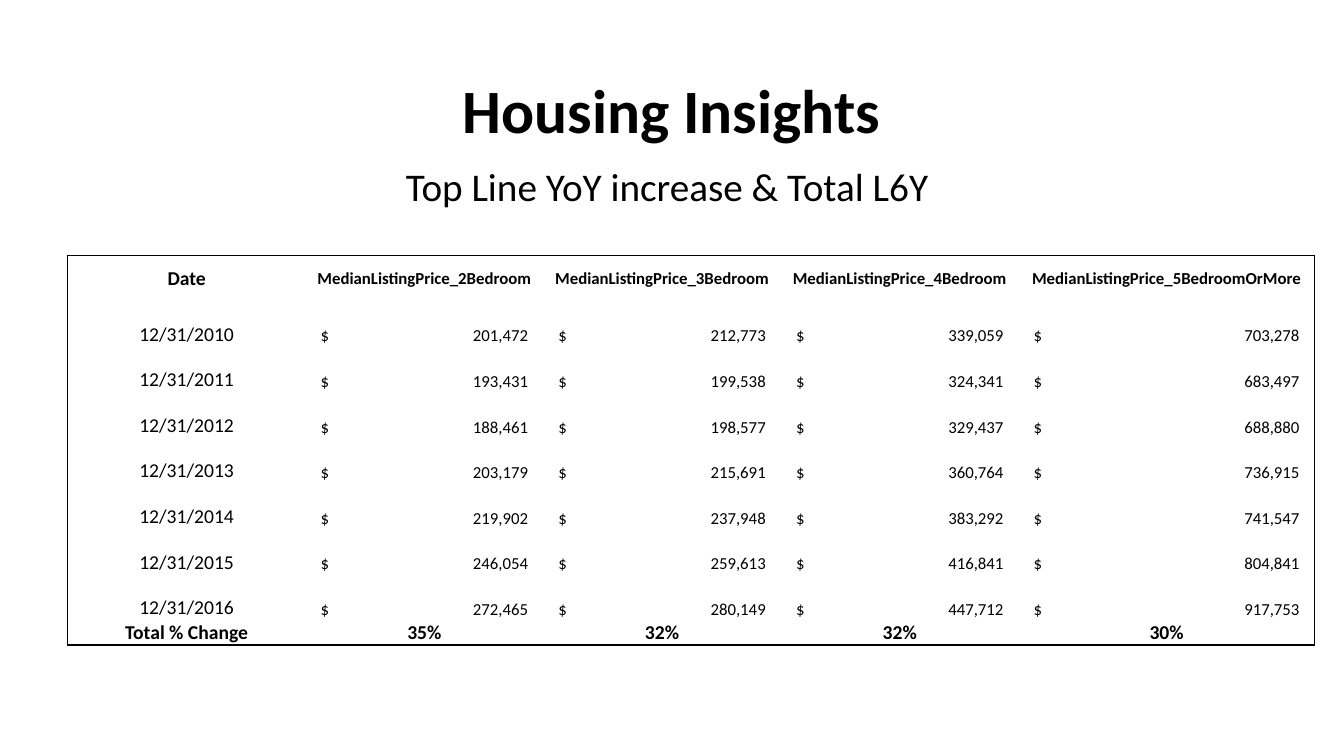
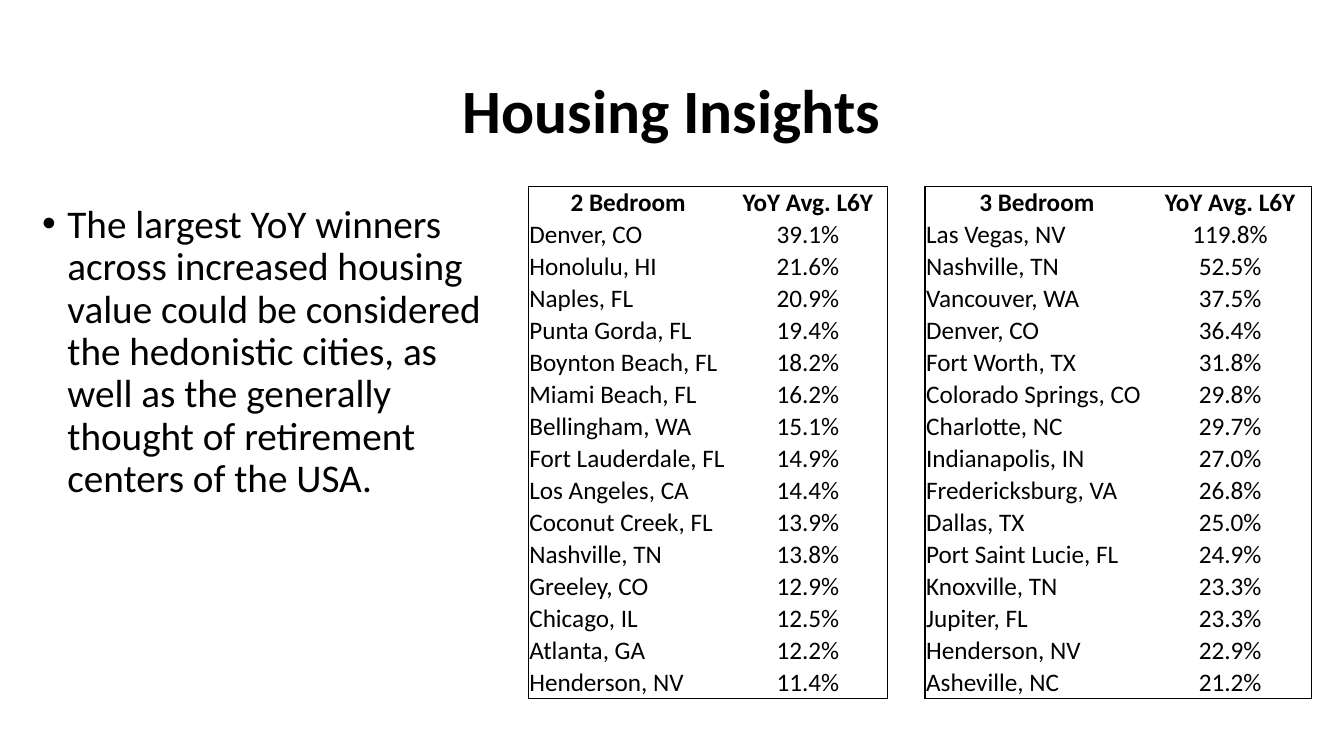
from lxml import etree
from pptx import Presentation
from pptx.dml.color import RGBColor
from pptx.enum.text import MSO_ANCHOR, MSO_AUTO_SIZE, PP_ALIGN
from pptx.oxml.ns import qn
from pptx.util import Cm, Pt

LEFT, CENTER = PP_ALIGN.LEFT, PP_ALIGN.CENTER
MIDDLE, BOTTOM = MSO_ANCHOR.MIDDLE, MSO_ANCHOR.BOTTOM
BLACK = RGBColor(0x00, 0x00, 0x00)
FONT = "Calibri"
TITLE_ONLY = 5
PLAIN_TABLE_STYLE = "{2D5ABB26-0587-4C30-8999-92F81FD0307C}"

# Content
TITLE = "Housing Insights"
SUBTITLE = "Top Line YoY increase & Total L6Y"
FINDING = (
    "The largest YoY winners across increased housing value could be considered "
    "the hedonistic cities, as well as the generally thought of retirement "
    "centers of the USA."
)
PRICE_HEADER = ("Date", "MedianListingPrice_2Bedroom", "MedianListingPrice_3Bedroom",
                "MedianListingPrice_4Bedroom", "MedianListingPrice_5BedroomOrMore")
PRICES = [
    ("12/31/2010", 201472, 212773, 339059, 703278),
    ("12/31/2011", 193431, 199538, 324341, 683497),
    ("12/31/2012", 188461, 198577, 329437, 688880),
    ("12/31/2013", 203179, 215691, 360764, 736915),
    ("12/31/2014", 219902, 237948, 383292, 741547),
    ("12/31/2015", 246054, 259613, 416841, 804841),
    ("12/31/2016", 272465, 280149, 447712, 917753),
]
TOTAL_CHANGE = ("Total % Change", "35%", "32%", "32%", "30%")
TWO_BEDROOM = [
    ("Denver, CO", "39.1%"), ("Honolulu, HI", "21.6%"), ("Naples, FL", "20.9%"),
    ("Punta Gorda, FL", "19.4%"), ("Boynton Beach, FL", "18.2%"),
    ("Miami Beach, FL", "16.2%"), ("Bellingham, WA", "15.1%"),
    ("Fort Lauderdale, FL", "14.9%"), ("Los Angeles, CA", "14.4%"),
    ("Coconut Creek, FL", "13.9%"), ("Nashville, TN", "13.8%"),
    ("Greeley, CO", "12.9%"), ("Chicago, IL", "12.5%"),
    ("Atlanta, GA", "12.2%"), ("Henderson, NV", "11.4%"),
]
THREE_BEDROOM = [
    ("Las Vegas, NV", "119.8%"), ("Nashville, TN", "52.5%"), ("Vancouver, WA", "37.5%"),
    ("Denver, CO", "36.4%"), ("Fort Worth, TX", "31.8%"),
    ("Colorado Springs, CO", "29.8%"), ("Charlotte, NC", "29.7%"),
    ("Indianapolis, IN", "27.0%"), ("Fredericksburg, VA", "26.8%"),
    ("Dallas, TX", "25.0%"), ("Port Saint Lucie, FL", "24.9%"),
    ("Knoxville, TN", "23.3%"), ("Jupiter, FL", "23.3%"),
    ("Henderson, NV", "22.9%"), ("Asheville, NC", "21.2%"),
]
# Heading, rows, left edge and column widths in cm
CITY_TABLES = [
    ("2 Bedroom", TWO_BEDROOM, 13.31, (5.04, 4.02)),
    ("3 Bedroom", THREE_BEDROOM, 23.31, (5.64, 4.1)),
]

# Table measures in cm
PRICE_COLUMNS = (5.99,) * 4 + (7.46,)
PRICE_ROWS = (1.15,) * 8 + (0.63,)
CITY_ROW = 0.78
CELL_INSET = 0.03
AMOUNT_INSET = 0.38


def style_paragraph(para, size, bold=False, align=LEFT):
    para.alignment = align
    for span in para.runs:
        span.font.name = FONT
        span.font.size = Pt(size)
        span.font.bold = bold
        span.font.color.rgb = BLACK


def add_titled_slide(deck):
    page = deck.slides.add_slide(deck.slide_layouts[TITLE_ONLY])
    title = page.shapes.title
    title.left, title.top, title.width, title.height = Cm(2.33), Cm(1.01), Cm(29.21), Cm(3.68)
    frame = title.text_frame
    frame.text = TITLE
    frame.auto_size = MSO_AUTO_SIZE.NONE
    frame.vertical_anchor = MIDDLE
    frame.paragraphs[0].line_spacing = 0.9
    style_paragraph(frame.paragraphs[0], 44, True, CENTER)
    return page


def add_body_text(page, text, left, top, width, height):
    box = page.shapes.add_textbox(Cm(left), Cm(top), Cm(width), Cm(height))
    box.text_frame.word_wrap = True
    para = box.text_frame.paragraphs[0]
    para.text = text
    para.line_spacing = 0.9
    para.space_before = Pt(10)
    style_paragraph(para, 28)
    return para


def add_bullet(para):
    properties = para._p.get_or_add_pPr()
    properties.set("marL", str(Cm(0.64)))
    properties.set("indent", str(-Cm(0.64)))
    etree.SubElement(properties, qn("a:buFont"), typeface="Arial")
    etree.SubElement(properties, qn("a:buChar"), char="•")


def add_border(cell, side):
    line = etree.SubElement(cell._tc.get_or_add_tcPr(), qn(f"a:ln{side}"), w=str(Pt(1)))
    fill = etree.SubElement(line, qn("a:solidFill"))
    etree.SubElement(fill, qn("a:srgbClr"), val=str(BLACK))


def add_framed_table(page, rows, left, top, column_widths, row_heights):
    """Add a plain table with a thin outer frame."""
    last_row, last_column = len(row_heights) - 1, len(column_widths) - 1
    table = page.shapes.add_table(
        len(row_heights), len(column_widths), Cm(left), Cm(top),
        Cm(sum(column_widths)), Cm(sum(row_heights))).table
    table.first_row = table.horz_banding = False
    table._tbl.tblPr.find(qn("a:tableStyleId")).text = PLAIN_TABLE_STYLE
    for column, width in zip(table.columns, column_widths):
        column.width = Cm(width)
    for row, height in zip(table.rows, row_heights):
        row.height = Cm(height)
    for r, values in enumerate(rows):
        for c, value in enumerate(values):
            cell = table.cell(r, c)
            cell.text_frame.text = value
            cell.margin_left = cell.margin_right = cell.margin_top = Cm(CELL_INSET)
            cell.margin_bottom = 0
            edges = (("L", c == 0), ("R", c == last_column),
                     ("T", r == 0), ("B", r == last_row))
            for side, on_edge in edges:
                if on_edge:
                    add_border(cell, side)
            cell.fill.background()
    return table


def format_cell(cell, size, bold, align, anchor):
    cell.vertical_anchor = anchor
    style_paragraph(cell.text_frame.paragraphs[0], size, bold, align)


def align_amount(cell, column_width):
    """Keep the dollar sign on the left and the figure at a right tab."""
    cell.margin_left = Cm(AMOUNT_INSET)
    properties = cell.text_frame.paragraphs[0]._p.get_or_add_pPr()
    stops = etree.SubElement(properties, qn("a:tabLst"))
    etree.SubElement(stops, qn("a:tab"), algn="r",
                     pos=str(Cm(column_width - 2 * AMOUNT_INSET)))


def add_price_table(page):
    amounts = [(date, *(f"$\t{price:,}" for price in prices)) for date, *prices in PRICES]
    rows = [PRICE_HEADER, *amounts, TOTAL_CHANGE]
    table = add_framed_table(page, rows, 1.71, 6.43, PRICE_COLUMNS, PRICE_ROWS)
    last_row = len(rows) - 1
    for r in range(len(rows)):
        for c, width in enumerate(PRICE_COLUMNS):
            cell = table.cell(r, c)
            is_amount = 0 < r < last_row and c > 0
            format_cell(cell,
                        size=14 if c == 0 or r == last_row else 12,
                        bold=r in (0, last_row),
                        align=LEFT if is_amount else CENTER,
                        anchor=MIDDLE if r == 0 else BOTTOM)
            if is_amount:
                align_amount(cell, width)


def add_city_table(page, heading, cities, left, column_widths):
    rows = [(heading, "YoY Avg. L6Y"), *cities]
    table = add_framed_table(page, rows, left, 4.7, column_widths, (CITY_ROW,) * len(rows))
    for r in range(len(rows)):
        for c in range(2):
            is_city = r > 0 and c == 0
            format_cell(table.cell(r, c), 18, r == 0,
                        LEFT if is_city else CENTER, BOTTOM if is_city else MIDDLE)


def main():
    deck = Presentation()
    deck.slide_width, deck.slide_height = Cm(33.87), Cm(19.05)

    # Prices by year
    page = add_titled_slide(deck)
    add_body_text(page, SUBTITLE, 9.98, 4.09, 16.97, 13.54)
    add_price_table(page)

    # Leading cities
    page = add_titled_slide(deck)
    for city_table in CITY_TABLES:
        add_city_table(page, *city_table)
    add_bullet(add_body_text(page, FINDING, 0.81, 5.03, 11.91, 13.54))

    deck.save("out.pptx")


if __name__ == "__main__":
    main()
